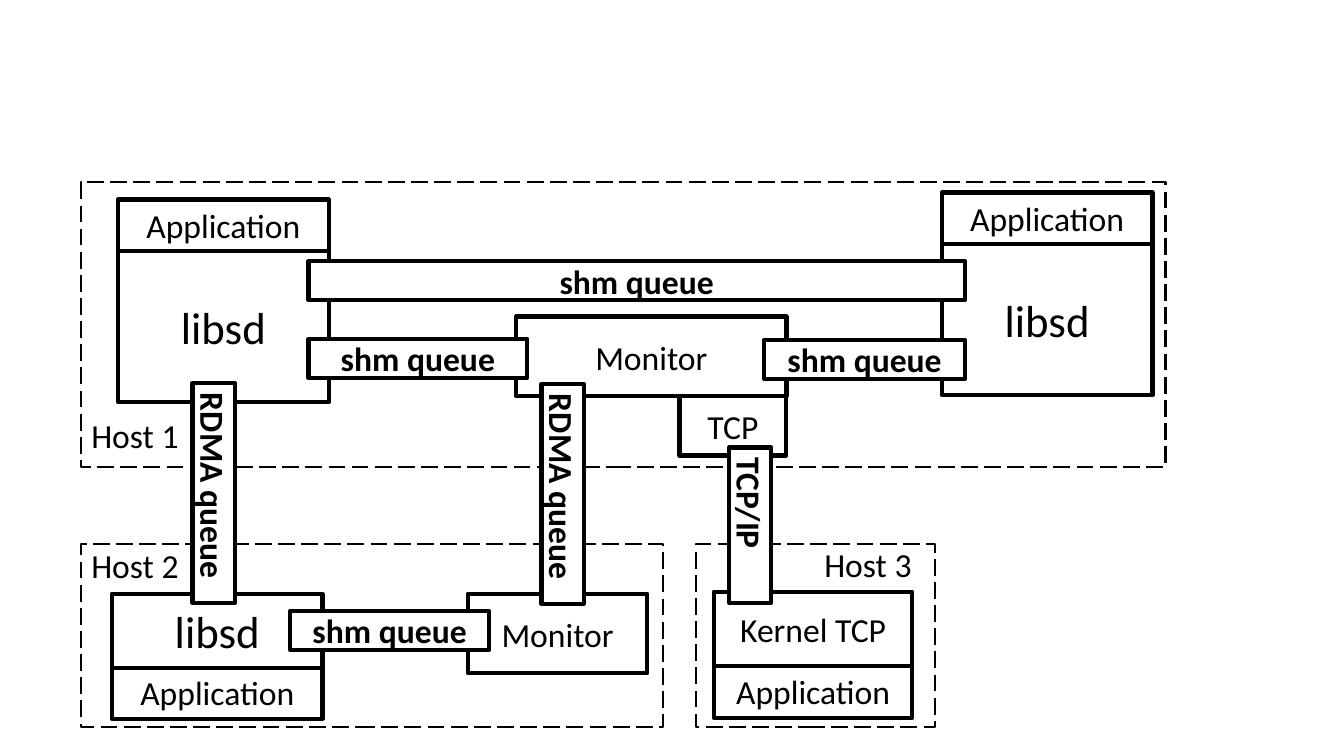
from dataclasses import dataclass

from pptx import Presentation
from pptx.dml.color import RGBColor
from pptx.enum.dml import MSO_LINE
from pptx.enum.shapes import MSO_SHAPE
from pptx.enum.text import MSO_ANCHOR, MSO_AUTO_SIZE, PP_ALIGN
from pptx.util import Emu, Inches, Pt


@dataclass(frozen=True)
class Theme:
    font: str = "Calibri"
    ink: RGBColor = RGBColor(0, 0, 0)
    paper: RGBColor = RGBColor(255, 255, 255)
    body: int = 24
    large: int = 32
    outline: float = 3
    host_outline: float = 1.5
    monitor_spacing: int = 40


@dataclass(frozen=True)
class Area:
    """Place and size in grid cells."""
    col: float
    row: float
    cols: float
    rows: float


@dataclass(frozen=True)
class Block:
    text: str
    area: Area
    size: int
    anchor: MSO_ANCHOR = MSO_ANCHOR.MIDDLE
    bold: bool = False
    upright: bool = False
    spacing: int | None = None


THEME = Theme()
CELL = Inches(0.1)
QUEUE_ROWS = 3.9
PIPE_COLS = 4.2
LABEL_ROWS = 5
APP_ROWS = 5.1

prs = Presentation()
prs.slide_width, prs.slide_height = Inches(13.33), Inches(7.5)
slide = prs.slides.add_slide(prs.slide_layouts[6])


def place(area: Area) -> list[Emu]:
    return [Emu(round(n * CELL)) for n in (area.col, area.row, area.cols, area.rows)]


def write(shape, text: str, size: int, align: PP_ALIGN, bold: bool = False) -> None:
    frame = shape.text_frame
    frame.word_wrap = True
    paragraph = frame.paragraphs[0]
    paragraph.alignment = align
    run = paragraph.add_run()
    run.text = text
    run.font.name, run.font.size, run.font.bold = THEME.font, Pt(size), bold
    run.font.color.rgb = THEME.ink


def add_rect(area: Area, width: float):
    rect = slide.shapes.add_shape(MSO_SHAPE.RECTANGLE, *place(area))
    rect.shadow.inherit = False
    rect.line.color.rgb = THEME.ink
    rect.line.width = Pt(width)
    return rect


def draw_host(area: Area) -> None:
    rect = add_rect(area, THEME.host_outline)
    rect.fill.background()
    rect.line.dash_style = MSO_LINE.LONG_DASH


def draw_label(text: str, area: Area) -> None:
    label = slide.shapes.add_textbox(*place(area))
    write(label, text, THEME.body, PP_ALIGN.RIGHT)
    label.text_frame.auto_size = MSO_AUTO_SIZE.SHAPE_TO_FIT_TEXT


def draw_block(block: Block) -> None:
    rect = add_rect(block.area, THEME.outline)
    rect.fill.solid()
    rect.fill.fore_color.rgb = THEME.paper
    write(rect, block.text, block.size, PP_ALIGN.CENTER, block.bold)
    frame = rect.text_frame
    frame.vertical_anchor = block.anchor
    if block.spacing:
        frame.paragraphs[0].line_spacing = Pt(block.spacing)
    if block.upright:
        frame._txBody.bodyPr.set("vert", "eaVert")


def application(col: float, row: float, cols: float) -> Block:
    return Block("Application", Area(col, row, cols, APP_ROWS), THEME.body, MSO_ANCHOR.TOP)


def libsd(col: float, row: float, rows: float) -> Block:
    return Block("libsd", Area(col, row, 20.9, rows), THEME.large)


def monitor(col: float, row: float, cols: float) -> Block:
    return Block("Monitor", Area(col, row, cols, 7.9), THEME.body,
                 MSO_ANCHOR.TOP, spacing=THEME.monitor_spacing)


def shm_queue(col: float, row: float, cols: float) -> Block:
    return Block("shm queue", Area(col, row, cols, QUEUE_ROWS), THEME.body, bold=True)


def pipe(text: str, col: float, row: float, rows: float) -> Block:
    return Block(text, Area(col, row, PIPE_COLS, rows), THEME.body, bold=True, upright=True)


# Hosts and their names
HOSTS = [
    ("Host 1", Area(8, 18.1, 107.6, 28.2), Area(4.7, 40.7, 14, LABEL_ROWS)),
    ("Host 2", Area(8, 54, 57.8, 18.1), Area(4.7, 53.6, 14, LABEL_ROWS)),
    ("Host 3", Area(69, 54, 23.7, 18.1), Area(72.3, 53.5, 19.1, LABEL_ROWS)),
]
for name, host_area, label_area in HOSTS:
    draw_host(host_area)
    draw_label(name, label_area)

# Software running on each host
COMPONENTS = [
    application(11.7, 19.8, 20.9),
    libsd(11.7, 24.9, 15),
    application(93.4, 19.1, 20.9),
    libsd(93.4, 24.2, 15),
    monitor(51.2, 31.4, 26.8),
    Block("TCP", Area(67.4, 39.3, 10.6, 5.9), THEME.body),
    application(11.1, 66.2, 20.9),
    libsd(11.1, 58.9, 7.4),
    monitor(46.4, 58.9, 17.8),
    application(70.8, 66.1, 19.7),
    Block("Kernel TCP", Area(70.8, 58.7, 19.7, 7.4), THEME.body),
]

# Queues and pipes that join the software
LINKS = [
    shm_queue(30.6, 25.9, 65.1),
    shm_queue(30.6, 33.6, 21.7),
    shm_queue(75.8, 33.7, 19.9),
    shm_queue(28.8, 60.6, 19.7),
    pipe("RDMA queue", 19.1, 38, 21.8),
    pipe("RDMA queue", 53.7, 38.1, 21.8),
    pipe("TCP/IP", 72.3, 44.4, 15.4),
]
for block in COMPONENTS + LINKS:
    draw_block(block)

prs.save("out.pptx")
